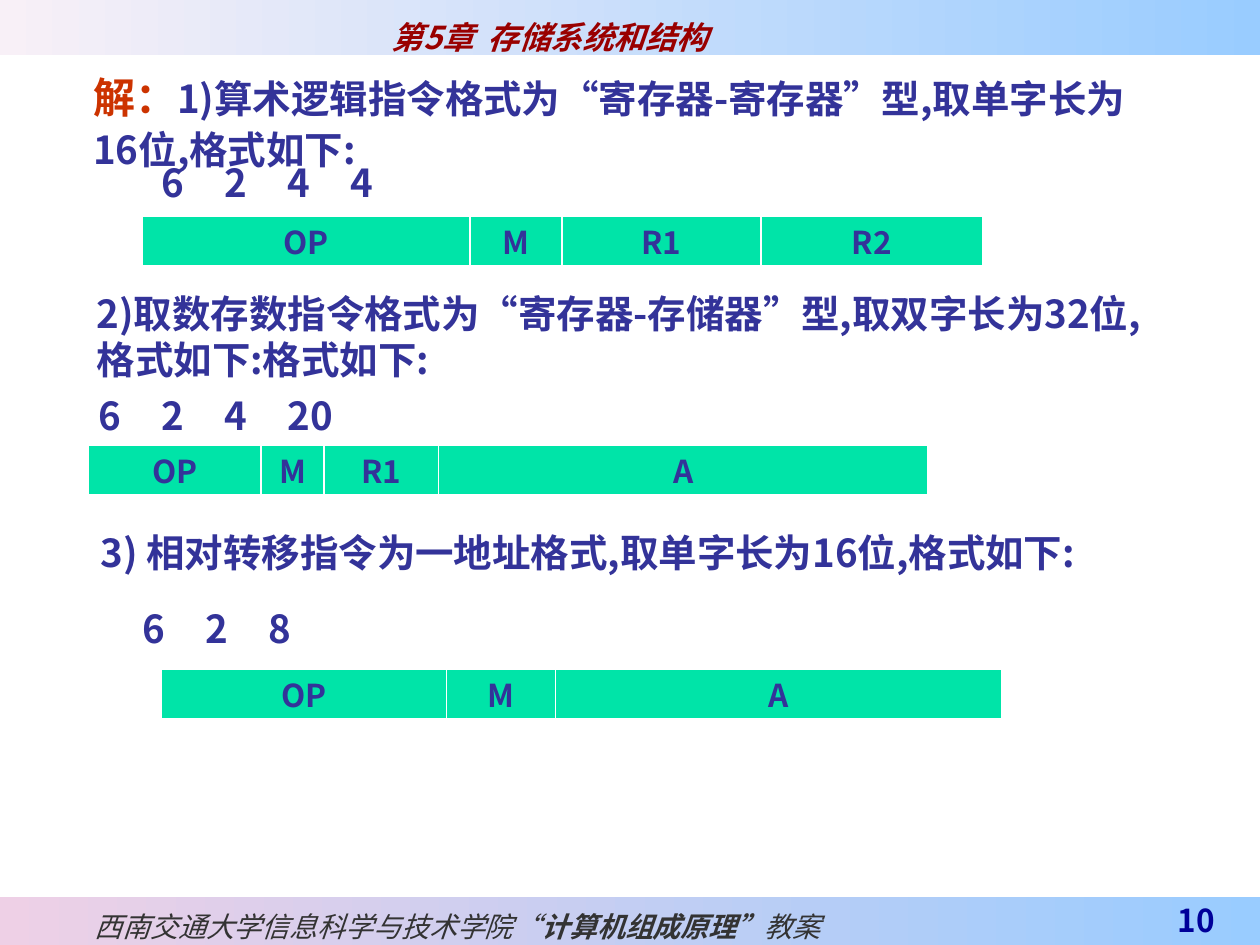
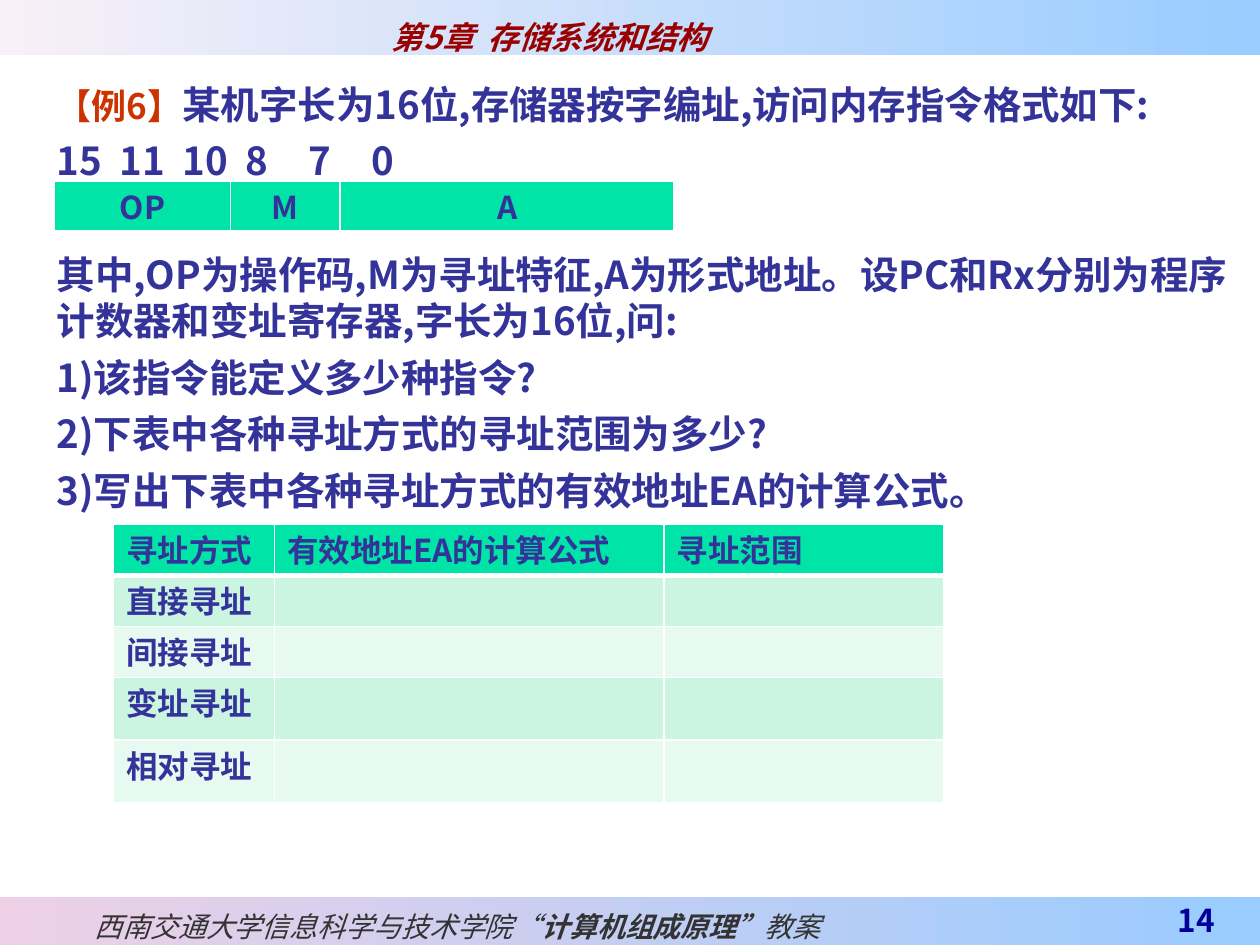
from lxml import etree
from pptx import Presentation
from pptx.dml.color import RGBColor
from pptx.enum import shapes, text
from pptx.oxml import ns
from pptx.util import Pt

WHITE = RGBColor(0xFF, 0xFF, 0xFF)
INDIGO = RGBColor(0x33, 0x33, 0x99)
NAVY = RGBColor(0x00, 0x00, 0x99)
CRIMSON = RGBColor(0x99, 0x00, 0x00)
ORANGE = RGBColor(0xCC, 0x33, 0x00)
CHARCOAL = RGBColor(0x33, 0x33, 0x33)
SKY = RGBColor(0x99, 0xCC, 0xFF)
PALE_PINK = RGBColor(0xF8, 0xF0, 0xF7)
PINK = RGBColor(0xEE, 0xD0, 0xE6)
GREEN = RGBColor(0x00, 0xE4, 0xA8)
STRIPES = (RGBColor(0xCC, 0xF5, 0xE1), RGBColor(0xE7, 0xFA, 0xF1))

FONT = "Noto Sans CJK SC"
SLIDE_W, SLIDE_H = 720, 540
HEADER_H, FOOTER_H = 31.5, 27.4
LINE = 1.2
ROW_H = 29.2

BODY = dict(size=Pt(22), bold=True, color=INDIGO)
CELL = dict(BODY, size=Pt(18))
SOLUTION = dict(BODY, size=Pt(24), color=ORANGE)
EXAMPLE = dict(BODY, size=Pt(20), color=ORANGE)
CHAPTER = dict(size=Pt(18), bold=True, italic=True, color=CRIMSON)
PAGE = dict(size=Pt(18), bold=True, color=NAVY)
FOOTER = dict(size=Pt(16), bold=False, italic=True, color=CHARCOAL)
COURSE = dict(FOOTER, bold=True)


def set_all(target, **values):
    for name, value in values.items():
        setattr(target, name, value)


def add_run(paragraph, words, style):
    run = paragraph.add_run()
    run.text = words
    for name, value in style.items():
        if name == "color":
            run.font.color.rgb = value
        else:
            setattr(run.font, name, value)
    run.font.name = FONT
    etree.SubElement(run.font._element, ns.qn("a:ea"), typeface=FONT)


def write(paragraph, runs, tabs=(), before=0, after=0,
          align=text.PP_ALIGN.LEFT):
    """Fill a paragraph with (words, style) runs, without a bullet."""
    props = paragraph._p.get_or_add_pPr()
    props.set("marL", "0")
    props.set("indent", "0")
    etree.SubElement(props, ns.qn("a:buNone"))
    if tabs:
        stops = etree.SubElement(props, ns.qn("a:tabLst"))
        for stop in tabs:
            etree.SubElement(stops, ns.qn("a:tab"), pos=str(Pt(stop)), algn="l")
    largest = max(style["size"].pt for _, style in runs)
    set_all(paragraph, alignment=align, line_spacing=Pt(round(largest * LINE, 1)),
            space_before=Pt(before), space_after=Pt(after))
    for words, style in runs:
        add_run(paragraph, words, style)


def place(shape, box, **frame_values):
    """Move a shape to box (left, top, width, height) and set up its text frame."""
    left, top, width, height = map(Pt, box)
    set_all(shape, left=left, top=top, width=width, height=height)
    frame = shape.text_frame
    set_all(frame, **{"word_wrap": True, "auto_size": text.MSO_AUTO_SIZE.NONE,
                      "vertical_anchor": text.MSO_ANCHOR.TOP, **frame_values})
    return frame


def text_box(slide, box, **frame_values):
    return place(slide.shapes.add_textbox(0, 0, 0, 0), box, **frame_values)


def fill_band(shape, start, end):
    shape.fill.gradient()
    shape.fill.gradient_angle = 0
    for stop, color in zip(shape.fill.gradient_stops, (start, end)):
        stop.color.rgb = color
    shape.line.fill.background()


def header(slide):
    title = slide.shapes.title
    fill_band(title, PALE_PINK, SKY)
    frame = place(title, (0, 0, SLIDE_W, HEADER_H), margin_left=Pt(224),
                  margin_top=Pt(10), margin_bottom=0)
    write(frame.paragraphs[0], [("第5章  存储系统和结构", CHAPTER)])


def footer(slide, number):
    top = SLIDE_H - FOOTER_H
    band = slide.shapes.add_shape(shapes.MSO_SHAPE.RECTANGLE, 0, 0, 0, 0)
    band.shadow.inherit = False
    fill_band(band, PINK, SKY)
    frame = place(band, (0, top, SLIDE_W, FOOTER_H), margin_left=Pt(54),
                  margin_top=Pt(6), margin_bottom=0, word_wrap=False,
                  vertical_anchor=text.MSO_ANCHOR.MIDDLE)
    write(frame.paragraphs[0], [("西南交通大学信息科学与技术学院“", FOOTER),
                                ("计算机组成原理”", COURSE), ("教案", FOOTER)])
    page = text_box(slide, (623.5, top, 77.8, FOOTER_H), margin_top=0,
                    vertical_anchor=text.MSO_ANCHOR.BOTTOM)
    write(page.paragraphs[0], [(str(number), PAGE)], align=text.PP_ALIGN.RIGHT)


def border(cell, bottom):
    props = cell._tc.get_or_add_tcPr()
    for side, width in dict(lnL=1, lnR=1, lnT=1, lnB=bottom).items():
        line = etree.SubElement(props, ns.qn(f"a:{side}"), w=str(Pt(width)))
        paint = etree.SubElement(line, ns.qn("a:solidFill"))
        etree.SubElement(paint, ns.qn("a:srgbClr"), val=str(WHITE))


def table(slide, left, top, widths, rows, heights, align):
    """Green heading row, then striped rows."""
    grid = slide.shapes.add_table(len(rows), len(widths), Pt(left), Pt(top),
                                  Pt(sum(widths)), Pt(sum(heights))).table
    for column, width in zip(grid.columns, widths):
        column.width = Pt(width)
    for r, (row, height) in enumerate(zip(rows, heights)):
        grid.rows[r].height = Pt(height)
        for c, words in enumerate(row):
            cell = grid.cell(r, c)
            border(cell, 1 if r else 3)
            cell.fill.solid()
            cell.fill.fore_color.rgb = STRIPES[(r - 1) % 2] if r else GREEN
            set_all(cell, margin_top=Pt(5.4), margin_bottom=Pt(1.8))
            write(cell.text_frame.paragraphs[0], [(words, CELL)], align=align)


def instruction_format(slide, left, top, fields):
    """One-row table of (field, width) pairs."""
    names, widths = zip(*fields)
    table(slide, left, top, widths, [names], [ROW_H], text.PP_ALIGN.CENTER)


def bit_counts(slide, left, top, counts, tabs):
    frame = text_box(slide, (left, top, 400, 34))
    write(frame.paragraphs[0], [("\t".join(counts), BODY)], tabs)


def start_slide(deck, number):
    slide = deck.slides.add_slide(deck.slide_layouts[1])
    header(slide)
    footer(slide, number)
    return slide


def solution_slide(deck):
    slide = start_slide(deck, 10)
    first = place(slide.placeholders[1], (46.1, 37.4, 622.8, 63.4))
    write(first.paragraphs[0], [
        ("解：", SOLUTION),
        ("1)算术逻辑指令格式为“寄存器-寄存器”型,取单字长为16位,格式如下:", BODY)])
    bit_counts(slide, 85.1, 87.1, ["6", "2", "4", "4"], (73.2, 116, 173.7))
    instruction_format(slide, 81.4, 123.8, [
        ("OP", 187.2), ("M", 52.5), ("R1", 113.8), ("R2", 126.7)])

    second = text_box(slide, (48.2, 162, 622.8, 60.5))
    write(second.paragraphs[0], [
        ("2)取数存数指令格式为“寄存器-存储器”型,取双字长为32位,格式如下:格式如下:",
         BODY)])
    bit_counts(slide, 49.2, 220.3, ["6", "2", "4", "20"], (37.7, 70.8, 133.7))
    instruction_format(slide, 50.4, 254.2, [
        ("OP", 98.9), ("M", 36), ("R1", 65.3), ("A", 279.6)])

    third = text_box(slide, (50.4, 298.8, 622.8, 33.8))
    write(third.paragraphs[0], [
        ("3) 相对转移指令为一地址格式,取单字长为16位,格式如下:", BODY)])
    bit_counts(slide, 74.4, 342, ["6", "2", "8"], (73.2, 140.8))
    instruction_format(slide, 92.2, 382.3, [
        ("OP", 163.1), ("M", 62.3), ("A", 254.6)])


def example_slide(deck):
    slide = start_slide(deck, 14)
    frame = place(slide.placeholders[1], (25.2, 42.5, 694.8, 257), margin_right=0)
    questions = [
        "1)该指令能定义多少种指令?",
        "2)下表中各种寻址方式的寻址范围为多少?",
        "3)写出下表中各种寻址方式的有效地址EA的计算公式。"]
    write(frame.paragraphs[0], [
        ("【例6】", EXAMPLE),
        ("某机字长为16位,存储器按字编址,访问内存指令格式如下:", BODY)], after=6)
    write(frame.add_paragraph(), [("15\t11\t10\t8\t7\t0", BODY)],
          (45.5, 77, 112, 135, 213), after=6)
    write(frame.add_paragraph(), [
        ("其中,OP为操作码,M为寻址特征,A为形式地址。设PC和Rx分别为"
         "程序计数器和变址寄存器,字长为16位,问:", BODY)], before=32.4, after=6)
    for question in questions:
        write(frame.add_paragraph(), [(question, BODY)], after=6)
    instruction_format(slide, 31, 103.7, [("OP", 100.8), ("M", 62.6), ("A", 190.8)])

    modes = ["直接寻址", "间接寻址", "变址寻址", "相对寻址"]
    rows = [["寻址方式", "有效地址EA的计算公式", "寻址范围"]]
    rows += [[mode, "", ""] for mode in modes]
    table(slide, 64.8, 299.5, (92.2, 222.5, 159.8), rows,
          [ROW_H] * 3 + [35.8] * 2, text.PP_ALIGN.LEFT)


def main():
    deck = Presentation()
    set_all(deck, slide_width=Pt(SLIDE_W), slide_height=Pt(SLIDE_H))
    solution_slide(deck)
    example_slide(deck)
    deck.save("out.pptx")


if __name__ == "__main__":
    main()
